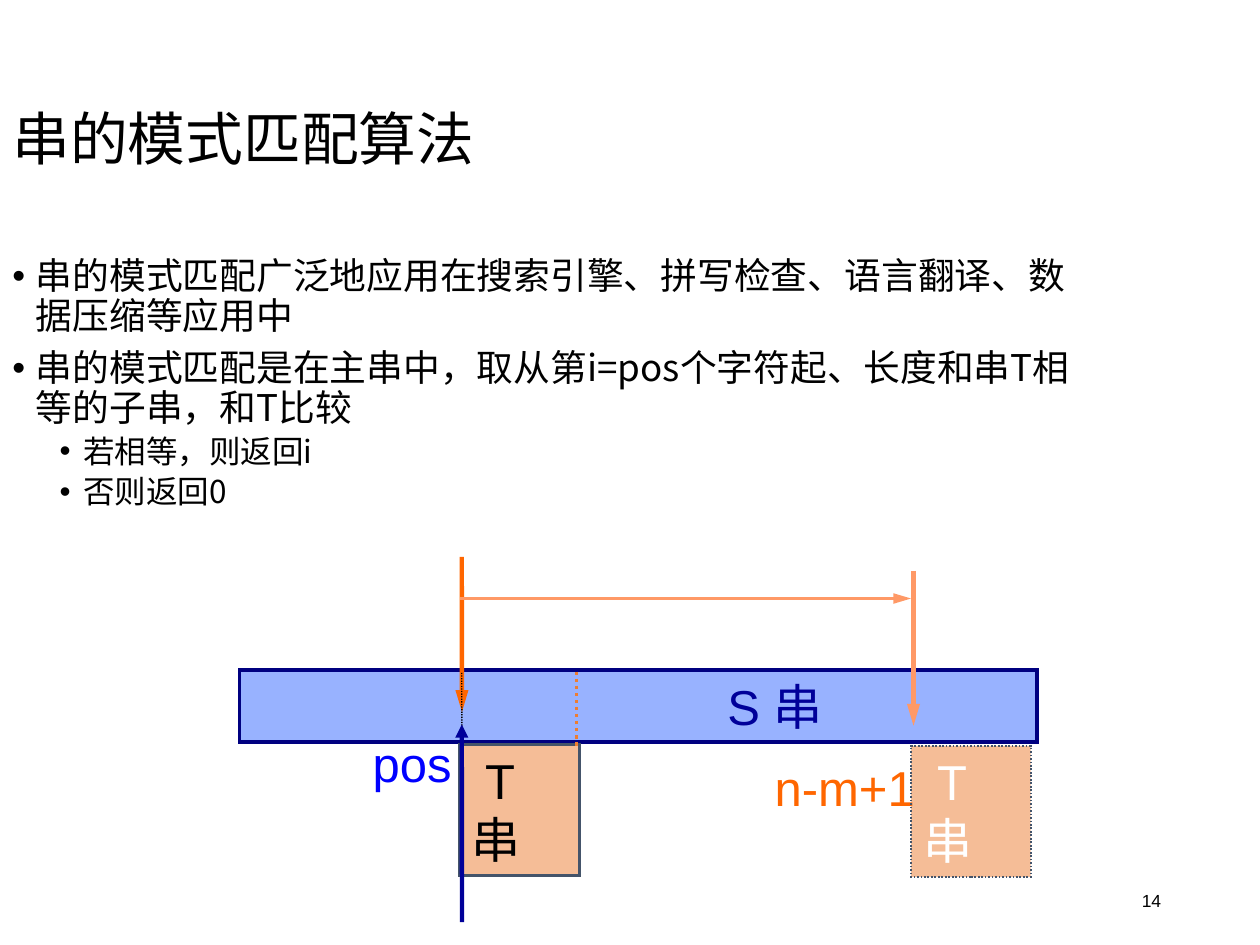
from pptx import Presentation
from pptx.dml.color import RGBColor
from pptx.enum import dml, shapes, text
from pptx.oxml import ns
from pptx.util import Pt
from lxml import etree

SANS = "Noto Sans CJK SC"


def rgb(code):
    return RGBColor.from_string(code)


def add(node, tag, **attrs):
    return etree.SubElement(node, ns.qn(tag), attrs)


deck = Presentation()
deck.slide_width, deck.slide_height = Pt(720), Pt(540)
slide = deck.slides.add_slide(deck.slide_layouts[6])

# Title, bullets, slide number and labels
# left, top, width, height, size, font, colour, wrap, lines
bullets = [
    (0, "串的模式匹配广泛地应用在搜索引擎、拼写检查、语言翻译、数据压缩等应用中"),
    (0, "串的模式匹配是在主串中，取从第i=pos个字符起、长度和串T相等的子串，和T比较"),
    (1, "若相等，则返回i"),
    (1, "否则返回0"),
]
texts = {
    "number": (508.3, 500.4, 162.3, 28.8, 10, "Arial", "000000", True, "14"),
    "title": (0, 28.8, 621.4, 104.4, 33, SANS, "000000", True, "串的模式匹配算法"),
    "body": (0, 144, 621.4, 342.7, 21, SANS, "000000", True,
             "\n".join(line for _, line in bullets)),
    "pos": (205.9, 415.4, 62, 41, 28, "Arial", "0000FF", True, "pos"),
    "last": (435.6, 429.1, 96, 41, 28, "Arial", "FF6600", True, "n-m+1"),
}
frames = {}
for name, (x, y, w, h, size, face, color, wrap, words) in texts.items():
    frame = slide.shapes.add_textbox(Pt(x), Pt(y), Pt(w), Pt(h)).text_frame
    frame.word_wrap = wrap
    frame.text = words
    frames[name] = frame
    for i, par in enumerate(frame.paragraphs):
        if name == "body":
            level = bullets[i][0]
            par.level = level
            par.space_before = Pt(0 if i == 0 else 3.6 if level else 7.2)
            size = 18 if level else 21
            props = par._p.get_or_add_pPr()
            props.set("marL", str(Pt(40.5 if level else 13.5)))
            props.set("indent", str(Pt(-13.5)))
            add(props, "a:buFont", typeface="Arial")
            add(props, "a:buChar", char="•")
        if face == SANS:
            par.line_spacing = 0.9
        for run in par.runs:
            run.font.size, run.font.name = Pt(size), face
            run.font.color.rgb = rgb(color)
            add(run._r.rPr, "a:ea", typeface=SANS)
for name in ("pos", "last"):
    frames[name].margin_right = 0
for name in ("number", "title"):
    frames[name].vertical_anchor = text.MSO_ANCHOR.MIDDLE
frames["number"].paragraphs[0].alignment = text.PP_ALIGN.RIGHT

# Main string S and the pattern T at its first and last position
# left, top, width, height, fill, line, line width, dotted, indent, words, colour
boxes = [
    (136.8, 383, 455.8, 41, "3366FF", "000080", 2, False, 271.8, "S 串", "000099"),
    (262.6, 425.5, 68.4, 75, "ED7D31", "44546A", 1.5, False, 7.5, "T 串", "000000"),
    (520.6, 426.2, 68.4, 75, "ED7D31", "44546A", 1, True, 7.8, "T 串", "FFFFFF"),
]
for x, y, w, h, fill, edge, width, dotted, indent, words, color in boxes:
    box = slide.shapes.add_shape(shapes.MSO_SHAPE.RECTANGLE, Pt(x), Pt(y), Pt(w), Pt(h))
    box.shadow.inherit = False
    box.fill.solid()
    box.fill.fore_color.rgb = rgb(fill)
    tint = box._element.spPr.find(ns.qn("a:solidFill"))[0]
    add(tint, "a:alpha", val="50000")
    box.line.color.rgb, box.line.width = rgb(edge), Pt(width)
    if dotted:
        box.line.dash_style = dml.MSO_LINE.ROUND_DOT
    add(box.line._get_or_add_ln(), "a:miter", lim="800000")
    frame = box.text_frame
    frame.text = words
    frame.vertical_anchor = text.MSO_ANCHOR.TOP
    par = frame.paragraphs[0]
    par.alignment = text.PP_ALIGN.LEFT
    par._p.get_or_add_pPr().set("indent", str(Pt(indent)))
    font = par.runs[0].font
    font.size, font.name, font.color.rgb = Pt(28), "Arial", rgb(color)
    add(par.runs[0]._r.rPr, "a:ea", typeface=SANS)

# Position arrows and dotted guides: from, to, colour, width, arrowhead, its length
lines = [
    (263.9, 318.2, 264, 406.8, "FF6600", 2.5, "tailEnd", "lg"),
    (263.9, 384.5, 264, 440.6, "000000", 0.75, None, None),
    (522, 326.2, 522, 414.7, "FF9966", 2.5, "tailEnd", "lg"),
    (262.8, 342, 520.6, 342, "FF9966", 2, "tailEnd", "lg"),
    (263.9, 414, 264, 527, "000099", 2.5, "headEnd", "med"),
    (329.4, 383.8, 329.4, 426.2, "ED7D31", 2, None, None),
]
for x1, y1, x2, y2, color, width, head, size in lines:
    line = slide.shapes.add_connector(
        shapes.MSO_CONNECTOR.STRAIGHT, Pt(x1), Pt(y1), Pt(x2), Pt(y2))
    line.line.color.rgb, line.line.width = rgb(color), Pt(width)
    if head:
        add(line.line._get_or_add_ln(), f"a:{head}", type="triangle", len=size)
    else:
        line.line.dash_style = dml.MSO_LINE.ROUND_DOT
    add(line._element.spPr, "a:effectLst")

deck.save("out.pptx")
